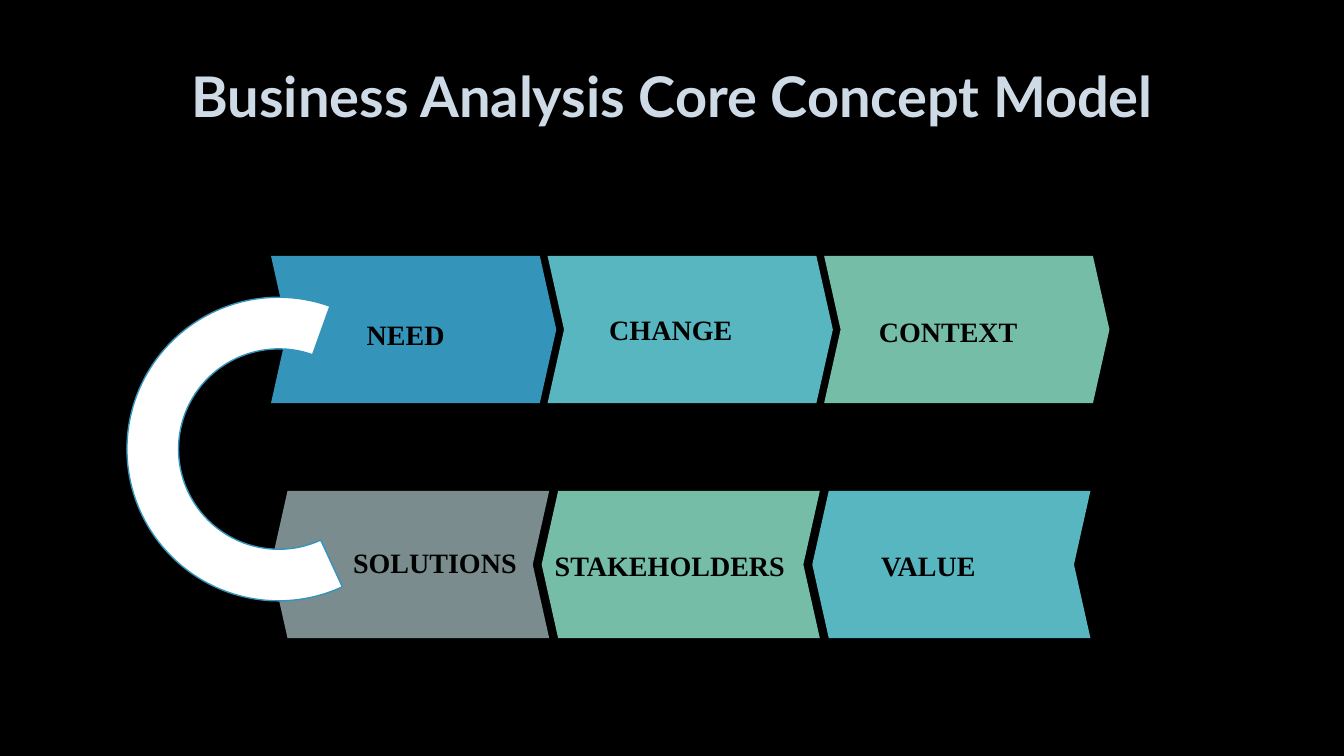
from dataclasses import dataclass

from pptx import Presentation
from pptx.dml.color import RGBColor
from pptx.enum.shapes import MSO_SHAPE
from pptx.enum.text import MSO_ANCHOR, MSO_AUTO_SIZE, PP_ALIGN
from pptx.util import Cm, Pt


@dataclass(frozen=True)
class Theme:
    background: str = "000000"
    title: str = "CEDBE6"
    label: str = "000000"
    blue: str = "3494BA"
    teal: str = "58B6C0"
    green: str = "75BDA7"
    grey: str = "7A8C8E"
    white: str = "FFFFFF"
    title_font: str = "Lato"
    label_font: str = "Times New Roman"
    title_size: int = 40
    label_size: int = 20


class SlideBuilder:
    """Draw styled elements on the current slide."""

    def __init__(self, presentation, theme):
        self.theme = theme
        self.slide = presentation.slides.add_slide(presentation.slide_layouts[5])
        background = self.slide.background.fill
        background.solid()
        background.fore_color.rgb = RGBColor.from_string(theme.background)

    def set_text(self, shape, text, font_name, size, color, wrap):
        frame = shape.text_frame
        frame.word_wrap = wrap
        frame.auto_size = MSO_AUTO_SIZE.SHAPE_TO_FIT_TEXT
        frame.vertical_anchor = MSO_ANCHOR.TOP
        paragraph = frame.paragraphs[0]
        paragraph.alignment = PP_ALIGN.CENTER
        run = paragraph.add_run()
        run.text = text
        run.font.name = font_name
        run.font.size = Pt(size)
        run.font.bold = True
        run.font.color.rgb = RGBColor.from_string(color)

    def title(self, text, left, top, width, height):
        shape = self.slide.shapes.title
        shape.left, shape.top = Cm(left), Cm(top)
        shape.width, shape.height = Cm(width), Cm(height)
        theme = self.theme
        self.set_text(shape, text, theme.title_font, theme.title_size, theme.title, False)

    def label(self, text, left, top, width):
        shape = self.slide.shapes.add_textbox(Cm(left), Cm(top), Cm(width), Cm(1.12))
        theme = self.theme
        self.set_text(shape, text, theme.label_font, theme.label_size, theme.label, True)

    def filled_shape(self, shapes, preset, box, adjustments, color, rotation=0):
        shape = shapes.add_shape(preset, *map(Cm, box))
        for index, value in enumerate(adjustments):
            shape.adjustments[index] = value
        shape.rotation = rotation
        shape.shadow.inherit = False
        shape.fill.solid()
        shape.fill.fore_color.rgb = RGBColor.from_string(color)
        shape.line.fill.background()
        return shape

    def chevron_row(self, top, width, pitch, colors, rotation=0):
        group = self.slide.shapes.add_group_shape()
        for column, color in enumerate(colors):
            box = (6.83 + column * pitch, top, width, 3.71)
            self.filled_shape(group.shapes, MSO_SHAPE.CHEVRON, box, [0.112], color, rotation)

    def turn(self, left, top, size, adjustments):
        box = (left, top, size, size)
        arc = self.filled_shape(
            self.slide.shapes, MSO_SHAPE.BLOCK_ARC, box, adjustments, self.theme.white, 270
        )
        arc.line.color.rgb = RGBColor.from_string(self.theme.blue)
        arc.line.width = Pt(1)


def main():
    presentation = Presentation()
    presentation.slide_width = Cm(33.87)
    presentation.slide_height = Cm(19.05)
    theme = Theme()
    builder = SlideBuilder(presentation, theme)

    builder.title("Business Analysis Core Concept Model", 3.86, 1.42, 26.16, 1.96)
    builder.chevron_row(6.45, 7.19, 6.97, [theme.blue, theme.teal, theme.green])
    builder.chevron_row(12.37, 7.01, 6.82, [theme.grey, theme.green, theme.teal], 180)
    builder.turn(3.2, 7.49, 7.65, [93.13, 11.85, 0.17])

    labels = [
        ("NEED", 7.8, 7.87, 4.85),
        ("CHANGE", 13.03, 7.75, 7.75),
        ("CONTEXT", 17.81, 7.8, 12.17),
        ("SOLUTIONS", 8.28, 13.61, 5.36),
        ("STAKEHOLDERS", 12.65, 13.69, 8.46),
        ("VALUE", 17.4, 13.69, 11.99),
    ]
    for label in labels:
        builder.label(*label)

    presentation.save("out.pptx")


if __name__ == "__main__":
    main()
